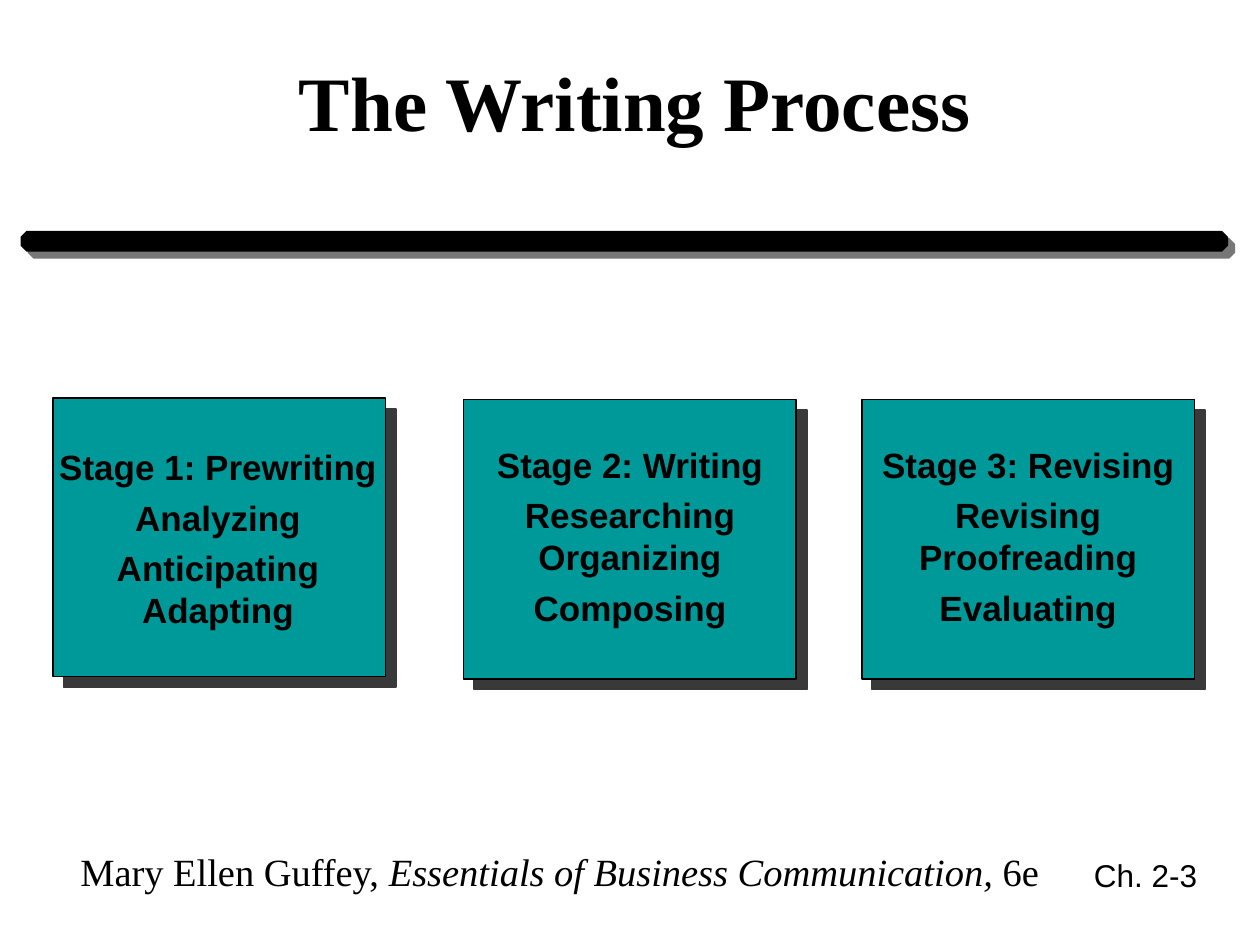
import lxml.etree
import pptx
import pptx.dml.color
import pptx.enum.shapes
import pptx.enum.text
import pptx.oxml.ns
import pptx.util

Inches = pptx.util.Inches
Pt = pptx.util.Pt
Align = pptx.enum.text.PP_ALIGN
Anchor = pptx.enum.text.MSO_ANCHOR
Shape = pptx.enum.shapes.MSO_SHAPE

COLORS = {
    "ink": "000000",
    "stage": "009999",
    "rule_shadow": "777777",
    "stage_shadow": "393939",
}
SERIF = "Times New Roman"
SANS = "Arial"


class SlideBuilder:
    """Hold the style and the current slide, and draw each kind of element."""

    def __init__(self, slide):
        self.slide = slide

    def color(self, key):
        return pptx.dml.color.RGBColor.from_string(COLORS[key])

    def group(self):
        return self.slide.shapes.add_group_shape().shapes

    def block(self, shapes, kind, box, fill, shadow, distance):
        block = shapes.add_shape(kind, *map(Inches, box))
        block.fill.solid()
        block.fill.fore_color.rgb = self.color(fill)
        block.line.color.rgb = self.color("ink")
        block.line.width = Pt(1)
        block.shadow.inherit = False
        qn = pptx.oxml.ns.qn
        effects = block.fill._xPr.find(qn("a:effectLst"))
        outer = lxml.etree.SubElement(
            effects, qn("a:outerShdw"), blurRad="0", dist=str(Pt(distance)),
            dir="2700000", algn="ctr", rotWithShape="0")
        lxml.etree.SubElement(outer, qn("a:srgbClr"), val=COLORS[shadow])
        return block

    def text(self, shapes, box, lines, font, size, bold=False, align=Align.LEFT,
             anchor=Anchor.TOP, wrap=False, grow=False):
        frame = shapes.add_textbox(*map(Inches, box)).text_frame
        frame.word_wrap = wrap
        frame.vertical_anchor = anchor
        if grow:
            frame.auto_size = pptx.enum.text.MSO_AUTO_SIZE.SHAPE_TO_FIT_TEXT
        for index, (spacing, pieces) in enumerate(lines):
            paragraph = frame.add_paragraph() if index else frame.paragraphs[0]
            paragraph.alignment = align
            paragraph.line_spacing = spacing
            for words, italic in pieces:
                run = paragraph.add_run()
                run.text = words
                run.font.name = font
                run.font.size = Pt(size)
                run.font.bold = bold
                run.font.italic = italic
                run.font.color.rgb = self.color("ink")

    def stage(self, box, text_box, lines):
        shapes = self.group()
        self.block(shapes, Shape.RECTANGLE, box, "stage", "stage_shadow", 8.5)
        self.text(shapes, text_box,
                  [(spacing, [(words, False)]) for words, spacing in lines],
                  SANS, 20, bold=True, align=Align.CENTER, grow=True)


def main():
    deck = pptx.Presentation()
    deck.slide_width, deck.slide_height = Inches(10), Inches(7.5)
    slide = deck.slides.add_slide(deck.slide_layouts[6])
    builder = SlideBuilder(slide)

    rule = builder.block(slide.shapes, Shape.OCTAGON, (0.17, 1.84, 9.57, 0.15),
                         "ink", "rule_shadow", 5.7)
    rule.adjustments[0] = 0.29

    citation = [("Mary Ellen Guffey, ", False),
                ("Essentials of Business Communication, ", True),
                ("6e", False)]
    builder.text(slide.shapes, (0.54, 6.68, 7.83, 0.47), [(1, citation)],
                 SERIF, 22, grow=True)
    builder.text(slide.shapes, (8.44, 6.69, 1.16, 0.5),
                 [(1, [("Ch. 2-3", False)])], SANS, 18,
                 align=Align.RIGHT, anchor=Anchor.MIDDLE)
    builder.text(slide.shapes, (0.33, 0.17, 9.42, 1.25),
                 [(1, [("The Writing Process", False)])], SERIF, 44, bold=True,
                 align=Align.CENTER, anchor=Anchor.MIDDLE, wrap=True)

    stages = [
        ((3.68, 3.17, 2.64, 2.22), (3.84, 3.47, 2.32, 1.57),
         [("Stage 2: Writing", 1), ("Researching", 1.2),
          ("Organizing", 1), ("Composing", 1.2)]),
        ((6.84, 3.17, 2.64, 2.22), (6.9, 3.47, 2.52, 1.57),
         [("Stage 3: Revising", 1), ("Revising", 1.2),
          ("Proofreading", 1), ("Evaluating", 1.2)]),
        ((0.42, 3.16, 2.64, 2.21), (0.37, 3.49, 2.72, 1.9),
         [("Stage 1: Prewriting", 1), ("Analyzing", 1.2),
          ("Anticipating", 1.2), ("Adapting", 1)]),
    ]
    for box, text_box, lines in stages:
        builder.stage(box, text_box, lines)

    deck.save("out.pptx")


if __name__ == "__main__":
    main()
